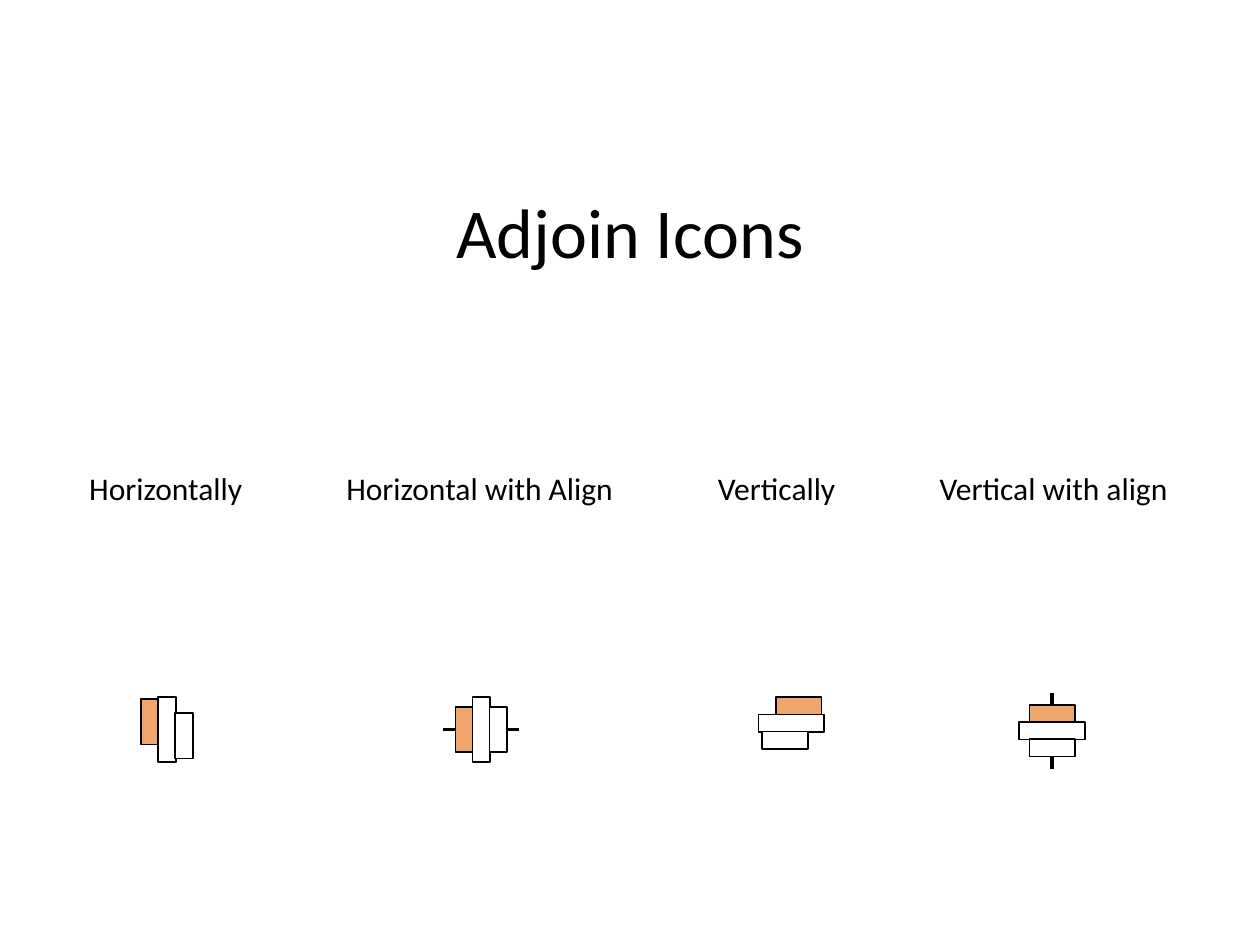
from lxml import etree
from pptx import Presentation
from pptx import util as u
from pptx.dml.color import RGBColor
from pptx.enum import shapes, text
from pptx.oxml.ns import qn

BLACK = RGBColor(0x00, 0x00, 0x00)
WHITE = RGBColor(0xFF, 0xFF, 0xFF)
ORANGE = RGBColor(0xEF, 0xA6, 0x6B)
FONT = "Calibri"
GRID = u.Inches(0.1)
BAR_WIDTH, BAR_PITCH = 1.4, 1.35
BAR_LENGTHS = (3.6, 5.2, 3.6)
BAR_FILLS = (ORANGE, WHITE, WHITE)
STAGGERED, ALIGNED = (-0.6, 0, 0.5), (0, 0, 0)
AXIS_REACH = 3
LABEL_TOP, LABEL_HEIGHT = 36.7, 4

ICONS = (
    ("Horizontally", 6.1, 14.3, (13.25, 57.9), False, False),
    ("Vertically", 56, 11.4, (62.8, 57.4), True, False),
    ("Horizontal with Align", 26.5, 23.4, (38.2, 57.9), False, True),
    ("Vertical with align", 73.6, 20.3, (83.5, 58), True, True),
)


def cells(*values):
    """Turn grid units into slide lengths."""
    return [u.Emu(round(value * GRID)) for value in values]


def write(shape, words, size, align=text.PP_ALIGN.LEFT, anchor=text.MSO_ANCHOR.TOP):
    """Fill a shape with one unwrapped line of formatted text."""
    frame = shape.text_frame
    frame.word_wrap = False
    frame.auto_size = text.MSO_AUTO_SIZE.SHAPE_TO_FIT_TEXT
    frame.vertical_anchor = anchor
    para = frame.paragraphs[0]
    para.alignment = align
    span = para.add_run()
    span.text = words
    span.font.size = u.Pt(size)
    span.font.name = FONT
    span.font.color.rgb = BLACK


def add_title(page, words, box):
    """Place the slide title in its placeholder."""
    title = page.shapes.title
    title.left, title.top, title.width, title.height = cells(*box)
    write(title, words, 40, align=text.PP_ALIGN.CENTER)


def add_axis(group, centre, vertical):
    """Draw the alignment line through the centre of an icon."""
    x, y = centre
    reach_x, reach_y = (0, AXIS_REACH) if vertical else (AXIS_REACH, 0)
    ends = cells(x - reach_x, y - reach_y, x + reach_x, y + reach_y)
    axis = group.shapes.add_connector(shapes.MSO_CONNECTOR.STRAIGHT, *ends)
    axis.line.color.rgb = BLACK
    axis.line.width = u.Pt(2)
    etree.SubElement(axis._element.spPr, qn("a:effectLst"))


def add_bar(group, centre, length, fill, vertical):
    """Draw one bar about its centre, turned on its side when stacked vertically."""
    x, y = centre
    box = cells(x - BAR_WIDTH / 2, y - length / 2, BAR_WIDTH, length)
    bar = group.shapes.add_shape(shapes.MSO_SHAPE.RECTANGLE, *box)
    bar.rotation = 90 if vertical else 0
    bar.shadow.inherit = False
    bar.fill.solid()
    bar.fill.fore_color.rgb = fill
    bar.line.color.rgb = BLACK
    bar.line.width = u.Pt(1)


def add_icon(page, centre, vertical, aligned):
    """Group three adjoining bars, with an axis when they are aligned."""
    group = page.shapes.add_group_shape()
    if aligned:
        add_axis(group, centre, vertical)
    x, y = centre
    offsets = ALIGNED if aligned else STAGGERED
    for place, (length, fill, across) in enumerate(zip(BAR_LENGTHS, BAR_FILLS, offsets)):
        along = (place - 1) * BAR_PITCH
        middle = (x - across, y + along) if vertical else (x + along, y + across)
        add_bar(group, middle, length, fill, vertical)


def add_label(page, words, left, width):
    """Place the name of an icon on the label row."""
    box = page.shapes.add_textbox(*cells(left, LABEL_TOP, width, LABEL_HEIGHT))
    write(box, words, 18)


def main():
    """Build the slide and save the deck."""
    deck = Presentation()
    deck.slide_width, deck.slide_height = cells(100, 75)
    page = deck.slides.add_slide(deck.slide_layouts[5])
    add_title(page, "Adjoin Icons", (35.1, 14.5, 29.8, 7.7))
    for words, left, width, centre, vertical, aligned in ICONS:
        add_icon(page, centre, vertical, aligned)
        add_label(page, words, left, width)
    deck.save("out.pptx")


if __name__ == "__main__":
    main()
